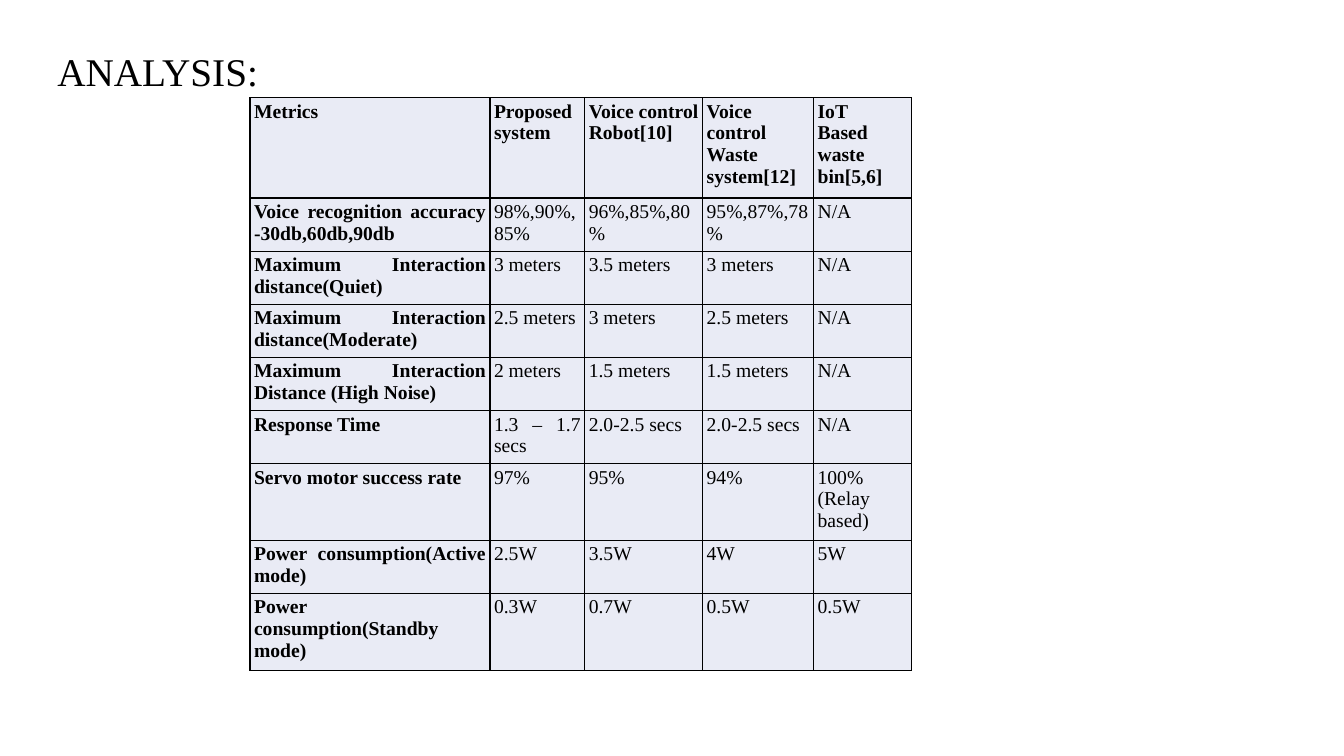
from lxml import etree
from pptx import Presentation
from pptx.dml.color import RGBColor
from pptx.enum.text import MSO_ANCHOR, PP_ALIGN
from pptx.oxml.ns import qn
from pptx.util import Inches, Pt

JUSTIFY = PP_ALIGN.JUSTIFY
TOP = MSO_ANCHOR.TOP
FONT = "Times New Roman"
COLORS = {"text": "000000", "border": "000000", "cell": "E9EBF5", "background": "FFFFFF"}
BORDER_SIDES = ("a:lnL", "a:lnR", "a:lnT", "a:lnB")
CELL_FORMAT = {
    "margin_left": Inches(0.04),
    "margin_right": Inches(0.04),
    "margin_top": Inches(0.03),
    "margin_bottom": Inches(0.03),
    "vertical_anchor": TOP,
}

TITLE_BOX = (0.47, 0.42, 12.76, 6.2)
TABLE_BOX = (2.48, 0.97, 6.56, 5.62)
COLUMN_WIDTHS = (2.38, 0.94, 1.17, 1.1, 0.97)
ROW_HEIGHTS = (0.99, 0.52, 0.52, 0.52, 0.52, 0.52, 0.75, 0.52, 0.75)

# A line break in a cell starts a new paragraph
METRICS = [
    ("Metrics", "Proposed\nsystem", "Voice control\nRobot[10]",
     "Voice control\nWaste system[12]", "IoT\nBased waste bin[5,6]"),
    ("Voice recognition accuracy -30db,60db,90db", "98%,90%,85%", "96%,85%,80%",
     "95%,87%,78%", "N/A"),
    ("Maximum Interaction distance(Quiet)", "3 meters", "3.5 meters", "3 meters", "N/A"),
    ("Maximum Interaction distance(Moderate)", "2.5 meters", "3 meters", "2.5 meters", "N/A"),
    ("Maximum Interaction Distance (High Noise)", "2 meters", "1.5 meters", "1.5 meters", "N/A"),
    ("Response Time", "1.3 – 1.7 secs", "2.0-2.5 secs", "2.0-2.5 secs", "N/A"),
    ("Servo motor success rate", "97%", "95%", "94%", "100%(Relay based)"),
    ("Power consumption(Active mode)", "2.5W", "3.5W", "4W", "5W"),
    ("Power consumption(Standby mode)", "0.3W", "0.7W", "0.5W", "0.5W"),
]


def apply_format(target, values):
    for name, value in values.items():
        setattr(target, name, value)


def style_font(font, size, bold=False):
    apply_format(font, {"name": FONT, "size": Pt(size), "bold": bold})
    font.color.rgb = RGBColor.from_string(COLORS["text"])


def add_borders(cell):
    properties = cell._tc.get_or_add_tcPr()
    for side in BORDER_SIDES:
        line = etree.SubElement(properties, qn(side), w=str(Pt(1)))
        fill = etree.SubElement(line, qn("a:solidFill"))
        etree.SubElement(fill, qn("a:srgbClr"), val=COLORS["border"])


def fill_cell(cell, text, bold):
    apply_format(cell, CELL_FORMAT)
    add_borders(cell)
    cell.fill.solid()
    cell.fill.fore_color.rgb = RGBColor.from_string(COLORS["cell"])
    cell.text_frame.text = text
    for paragraph in cell.text_frame.paragraphs:
        paragraph.alignment = JUSTIFY
        style_font(paragraph.runs[0].font, 14, bold)


def add_title(slide, box):
    shape = slide.shapes.add_textbox(*map(Inches, box))
    apply_format(shape.text_frame, {"word_wrap": True, "vertical_anchor": TOP})
    run = shape.text_frame.paragraphs[0].add_run()
    run.text = "ANALYSIS:"
    style_font(run.font, 28)


def add_metrics_table(slide, box):
    shape = slide.shapes.add_table(len(METRICS), len(COLUMN_WIDTHS), *map(Inches, box))
    table = shape.table
    apply_format(table, {"first_row": False, "horz_banding": False})
    for column, width in zip(table.columns, COLUMN_WIDTHS):
        column.width = Inches(width)
    for row, height in zip(table.rows, ROW_HEIGHTS):
        row.height = Inches(height)
    # Headings and metric names are bold
    for row_index, row_texts in enumerate(METRICS):
        for column_index, text in enumerate(row_texts):
            bold = row_index == 0 or column_index == 0
            fill_cell(table.cell(row_index, column_index), text, bold)


def main():
    presentation = Presentation()
    presentation.slide_width = Inches(13.33)
    presentation.slide_height = Inches(7.5)
    slide = presentation.slides.add_slide(presentation.slide_layouts[6])
    slide.background.fill.solid()
    slide.background.fill.fore_color.rgb = RGBColor.from_string(COLORS["background"])
    add_title(slide, TITLE_BOX)
    add_metrics_table(slide, TABLE_BOX)
    presentation.save("out.pptx")


if __name__ == "__main__":
    main()
